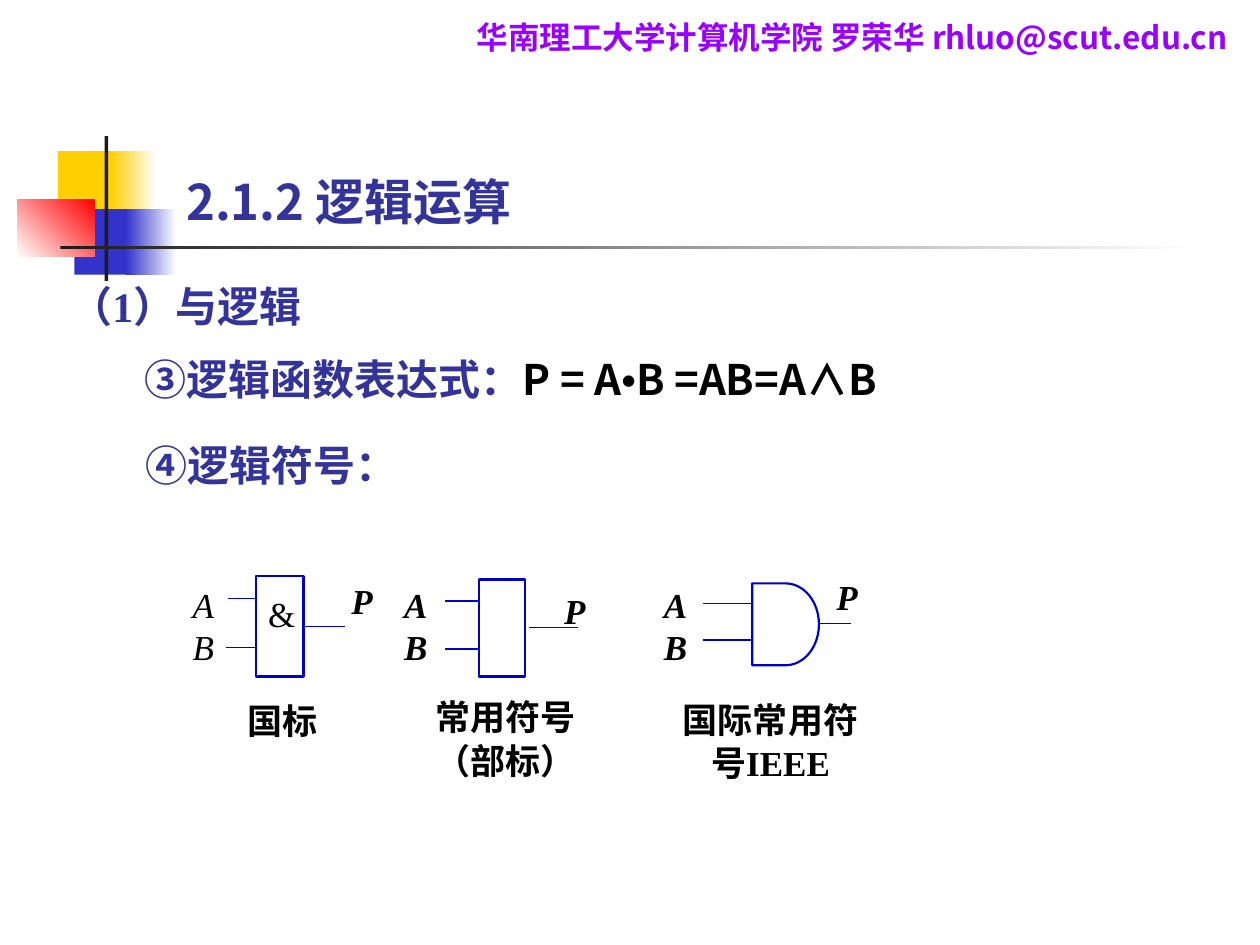
from lxml import etree
from pptx import Presentation, util as u
from pptx.dml.color import RGBColor
from pptx.enum import shapes, text
from pptx.oxml.ns import qn

COLORS = {"purple": "9900FF", "navy": "333399", "black": "000000", "wire": "0000CC",
          "yellow": "FFCF01", "blue": "3333CC", "red": "FF0000", "dark": "1C1C1C",
          "white": "FFFFFF"}
SANS, SERIF = "Noto Sans CJK SC", "Times New Roman"
LEFT, CENTER, JUSTIFY = (text.PP_ALIGN.LEFT, text.PP_ALIGN.CENTER, text.PP_ALIGN.JUSTIFY)
RECT, DELAY = shapes.MSO_SHAPE.RECTANGLE, shapes.MSO_SHAPE.FLOWCHART_DELAY

# Decoration: box, start colour, end colour (None = solid), angle
DECORATION = [
    ((0.46, 1.2, 0.48, 0.52), "yellow", None, 0),
    ((0.88, 1.2, 0.36, 0.52), "yellow", "white", 0),
    ((0.59, 1.66, 0.46, 0.52), "blue", None, 0),
    ((1, 1.66, 0.4, 0.52), "blue", "white", 0),
    ((0.14, 1.58, 0.61, 0.46), "white", "red", 45),
    ((0.83, 1.08, 0.03, 1.15), "dark", None, 0),
    ((0.48, 1.95, 9, 0.03), "dark", "white", 0),
]

# Headings: box, size, colour, alignment, runs of (text, font, colour or None)
HEADINGS = [
    ((3.2, 0.09, 7.13, 0.4), 18, "purple", CENTER,
     [("华南理工大学计算机学院 罗荣华 rhluo@scut.edu.cn", SANS, None)]),
    ((1.38, 1.31, 7.33, 0.57), 28, "navy", LEFT, [("2.1.2 逻辑运算", SANS, None)]),
    ((0.46, 2.18, 2.19, 0.5), 24, "navy", LEFT,
     [("（", SANS, None), ("1", SERIF, None), ("）与逻辑", SANS, None)]),
    ((1.05, 2.76, 6.69, 0.5), 24, "navy", JUSTIFY,
     [("③", SERIF, None), ("逻辑函数表达式：", SANS, None), ("P = A", SANS, "black"),
      ("•", SERIF, "black"), ("B =AB=A∧B", SANS, "black")]),
    ((1.06, 3.44, 6.85, 0.5), 24, "navy", JUSTIFY,
     [("④", SERIF, None), ("逻辑符号：", SANS, None)]),
]

# Gates: wires are (x from, x to, y); labels are boxes around the symbol
GATES = [
    {"shape": RECT, "body": (2.03, 4.57, 0.38, 0.8), "bold_inputs": False,
     "wires": [(1.81, 2.03, 4.75), (1.79, 2.03, 5.14), (2.42, 2.74, 4.97)],
     "inputs": (1.43, 4.58, 0.47, 0.69), "output": (2.69, 4.55, 0.47, 0.42),
     "sign": ((2.03, 4.56, 0.4, 0.39), "&"),
     "caption": ((1.85, 5.49, 0.79, 0.41), ["国标"])},
    {"shape": RECT, "body": (3.8, 4.6, 0.37, 0.77), "bold_inputs": True,
     "wires": [(3.53, 3.79, 4.77), (3.53, 3.79, 5.15), (4.2, 4.59, 4.98)],
     "inputs": (3.11, 4.58, 0.5, 0.69), "output": (4.38, 4.63, 0.47, 0.42),
     "caption": ((3.24, 5.46, 1.55, 0.76), ["常用符号", "（部标）"])},
    {"shape": DELAY, "body": (5.97, 4.63, 0.53, 0.65), "bold_inputs": True,
     "wires": [(5.58, 5.97, 4.79), (5.58, 5.97, 5.08), (6.51, 6.75, 4.95)],
     "inputs": (5.17, 4.58, 0.47, 0.69), "output": (6.54, 4.52, 0.47, 0.55),
     "caption": ((5.27, 5.48, 1.69, 0.87), ["国际常用符号IEEE"])},
]


def rgb(name):
    return RGBColor.from_string(COLORS[name])


def inches(values):
    return [u.Inches(value) for value in values]


def add_box(slide, kind, box):
    shape = slide.shapes.add_shape(kind, *inches(box))
    shape.shadow.inherit = False
    return shape


def add_decoration(slide, box, start, end, angle):
    shape = add_box(slide, RECT, box)
    shape.line.fill.background()
    if end is None:
        shape.fill.solid()
        shape.fill.fore_color.rgb = rgb(start)
        return
    shape.fill.gradient()
    shape.fill.gradient_angle = angle
    for stop, color in zip(shape.fill.gradient_stops, (start, end)):
        stop.color.rgb = rgb(color)


def set_east_asian(properties):
    etree.SubElement(properties, qn("a:ea")).set("typeface", SANS)


def add_text(slide, box, lines, size=20, color="black", align=JUSTIFY,
             bold=True, italic=False, spacing=None):
    """Each line is a list of (text, font, colour or None) runs."""
    frame = slide.shapes.add_textbox(*inches(box)).text_frame
    frame.word_wrap = True
    for index, runs in enumerate(lines):
        paragraph = frame.add_paragraph() if index else frame.paragraphs[0]
        paragraph.alignment = align
        paragraph.line_spacing = spacing
        font = paragraph.font
        font.size, font.bold, font.italic = u.Pt(size), bold, italic
        font.color.rgb = rgb(color)
        for words, typeface, run_color in runs:
            run = paragraph.add_run()
            run.text = words
            run.font.name = typeface
            if run_color:
                run.font.color.rgb = rgb(run_color)
            set_east_asian(run._r.get_or_add_rPr())


def serif_lines(words):
    return [[(word, SERIF, None)] for word in words]


def add_wire(slide, start, end, y):
    wire = slide.shapes.add_connector(shapes.MSO_CONNECTOR.STRAIGHT,
                                      *inches((start, y, end, y)))
    wire.line.color.rgb = rgb("wire")
    wire.line.width = u.Pt(0.75)
    etree.SubElement(wire._element.spPr, qn("a:effectLst"))


def add_gate(slide, gate):
    body = add_box(slide, gate["shape"], gate["body"])
    body.fill.background()
    body.line.color.rgb = rgb("wire")
    body.line.width = u.Pt(1.25)
    for wire in gate["wires"]:
        add_wire(slide, *wire)
    add_text(slide, gate["inputs"], serif_lines("AB"), bold=gate["bold_inputs"], italic=True)
    add_text(slide, gate["output"], serif_lines("P"), italic=True)
    if "sign" in gate:
        box, sign = gate["sign"]
        add_text(slide, box, serif_lines(sign), bold=False, spacing=1.28)
    box, caption = gate["caption"]
    add_text(slide, box, serif_lines(caption), align=CENTER, spacing=1.04)


def main():
    presentation = Presentation()
    presentation.slide_width, presentation.slide_height = inches((10, 7.5))
    slide = presentation.slides.add_slide(presentation.slide_layouts[6])
    for part in DECORATION:
        add_decoration(slide, *part)
    for box, size, color, align, runs in HEADINGS:
        add_text(slide, box, [runs], size, color, align)
    for gate in GATES:
        add_gate(slide, gate)
    presentation.save("out.pptx")


if __name__ == "__main__":
    main()
